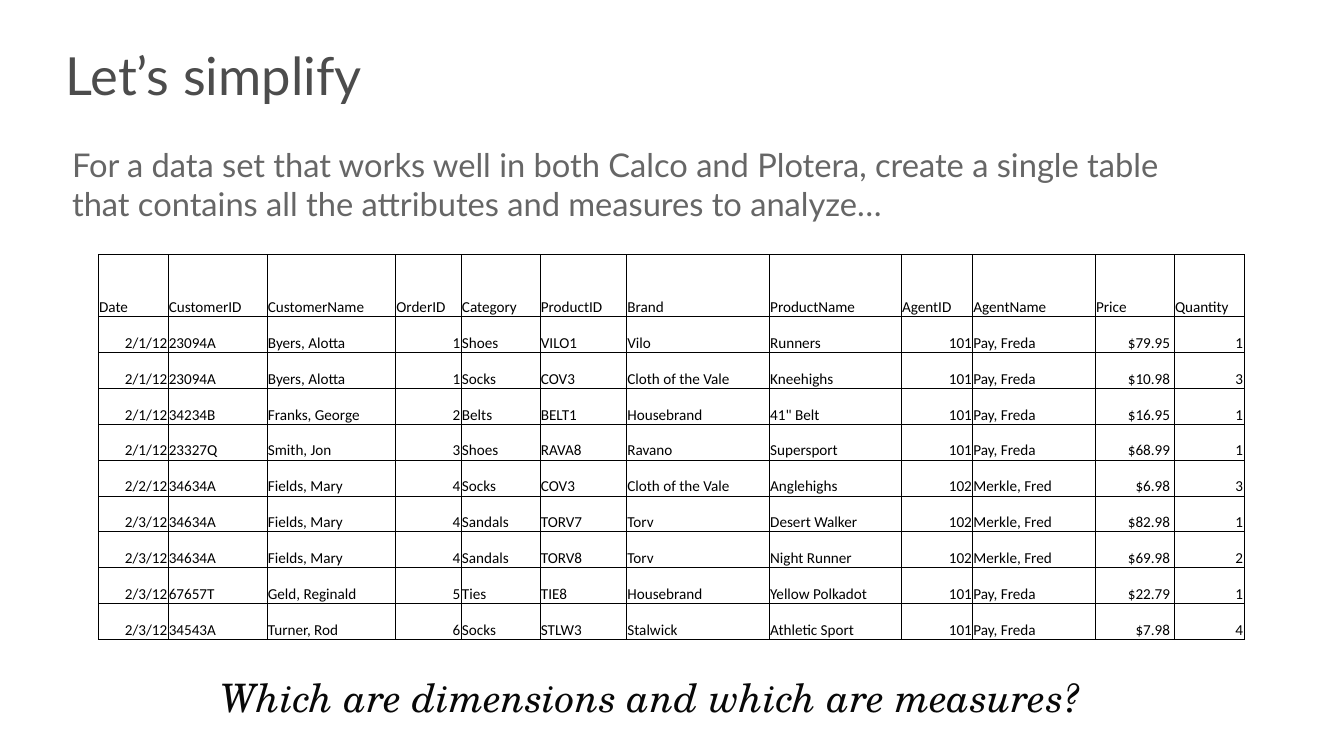
from lxml.etree import SubElement
from pptx import Presentation
from pptx.dml.color import RGBColor
from pptx.enum.text import MSO_ANCHOR, PP_ALIGN
from pptx.oxml.ns import qn
from pptx.util import Inches, Pt

TITLE = "Let’s simplify"
INTRO = ("For a data set that works well in both Calco and Plotera, create a single table "
         "that contains all the attributes and measures to analyze…")
QUESTION = "Which are dimensions and which are measures?"

# Heading, width in inches, whether the values are right-aligned
COLUMNS = [
    ("Date", 0.83, True), ("CustomerID", 1.18, False), ("CustomerName", 1.53, False),
    ("OrderID", 0.78, True), ("Category", 0.94, False), ("ProductID", 1.03, False),
    ("Brand", 1.7, False), ("ProductName", 1.57, False), ("AgentID", 0.85, True),
    ("AgentName", 1.46, False), ("Price", 0.94, True), ("Quantity", 0.83, True),
]
AGENTS = {"101": "Pay, Freda", "102": "Merkle, Fred"}
# Date, customer ID and name, order, category, product ID, brand, product, agent ID, price, quantity
ORDERS = [
    ("2/1/12", "23094A", "Byers, Alotta", "1", "Shoes", "VILO1", "Vilo", "Runners", "101", "$79.95 ", "1"),
    ("2/1/12", "23094A", "Byers, Alotta", "1", "Socks", "COV3", "Cloth of the Vale", "Kneehighs", "101", "$10.98 ", "3"),
    ("2/1/12", "34234B", "Franks, George", "2", "Belts", "BELT1", "Housebrand", '41" Belt', "101", "$16.95 ", "1"),
    ("2/1/12", "23327Q", "Smith, Jon", "3", "Shoes", "RAVA8", "Ravano", "Supersport", "101", "$68.99 ", "1"),
    ("2/2/12", "34634A", "Fields, Mary", "4", "Socks", "COV3", "Cloth of the Vale", "Anglehighs", "102", "$6.98 ", "3"),
    ("2/3/12", "34634A", "Fields, Mary", "4", "Sandals", "TORV7", "Torv", "Desert Walker", "102", "$82.98 ", "1"),
    ("2/3/12", "34634A", "Fields, Mary", "4", "Sandals", "TORV8", "Torv", "Night Runner", "102", "$69.98 ", "2"),
    ("2/3/12", "67657T", "Geld, Reginald", "5", "Ties", "TIE8", "Housebrand", "Yellow Polkadot", "101", "$22.79 ", "1"),
    ("2/3/12", "34543A", "Turner, Rod", "6", "Socks", "STLW3", "Stalwick", "Athletic Sport", "101", "$7.98 ", "4"),
]
HEADER_HEIGHT, ROW_HEIGHT = 0.74, 0.427


def color(hex_value):
    return RGBColor.from_string(hex_value)


def write(frame, text, size, font, hex_value, italic=False, align=PP_ALIGN.LEFT):
    frame.text = text
    para = frame.paragraphs[0]
    para.alignment = align
    style = para.runs[0].font
    style.size, style.name, style.italic, style.bold = Pt(size), font, italic, False
    style.color.rgb = color(hex_value)
    return para


def set_margins(holder, left, top, right, bottom):
    holder.margin_left, holder.margin_top = Inches(left), Inches(top)
    holder.margin_right, holder.margin_bottom = Inches(right), Inches(bottom)


def add_borders(cell):
    properties = cell._tc.get_or_add_tcPr()
    for side in ("lnL", "lnR", "lnT", "lnB"):
        line = SubElement(properties, qn(f"a:{side}"), w=str(Pt(0.5)))
        fill = SubElement(line, qn("a:solidFill"))
        SubElement(fill, qn("a:srgbClr"), val="000000")


def add_text(page, left, top, width, height):
    box = page.shapes.add_textbox(Inches(left), Inches(top), Inches(width), Inches(height))
    box.text_frame.word_wrap = True
    return box.text_frame


def add_orders(page):
    headings = [heading for heading, _, _ in COLUMNS]
    rows = [headings] + [[*order[:9], AGENTS[order[8]], *order[9:]] for order in ORDERS]
    width = sum(column[1] for column in COLUMNS)
    height = HEADER_HEIGHT + ROW_HEIGHT * len(ORDERS)
    table = page.shapes.add_table(len(rows), len(COLUMNS), Inches(1.17), Inches(3.03),
                                  Inches(width), Inches(height)).table
    table.first_row = table.horz_banding = False
    for column, (_, column_width, _) in zip(table.columns, COLUMNS):
        column.width = Inches(column_width)
    for r, values in enumerate(rows):
        table.rows[r].height = Inches(ROW_HEIGHT if r else HEADER_HEIGHT)
        for c, value in enumerate(values):
            cell = table.cell(r, c)
            right = r > 0 and COLUMNS[c][2]
            write(cell.text_frame, value, 13, "Calibri", "000000",
                  align=PP_ALIGN.RIGHT if right else PP_ALIGN.LEFT)
            cell.vertical_anchor = MSO_ANCHOR.BOTTOM
            set_margins(cell, 0.01, 0.01, 0.01, 0)
            add_borders(cell)
            cell.fill.background()


def main():
    deck = Presentation()
    deck.slide_width, deck.slide_height = Inches(16), Inches(9)
    page = deck.slides.add_slide(deck.slide_layouts[5])

    title = page.shapes.title
    title.left, title.top = Inches(0.78), Inches(0.66)
    title.width, title.height = Inches(14.48), Inches(0.61)
    set_margins(title.text_frame, 0, 0, 0, 0)
    title.text_frame.vertical_anchor = MSO_ANCHOR.TOP
    write(title.text_frame, TITLE, 45, "Lato", "4C4C4C").line_spacing = 0.8

    add_orders(page)

    question = add_text(page, 2.5, 7.95, 11, 0.72)
    set_margins(question, 0.12, 0.06, 0.12, 0.06)
    write(question, QUESTION, 33.6, "TeX Gyre Schola", "080808", italic=True)

    write(add_text(page, 0.76, 1.67, 13.68, 1.04), INTRO, 28, "Lato", "666666")

    deck.save("out.pptx")


if __name__ == "__main__":
    main()
